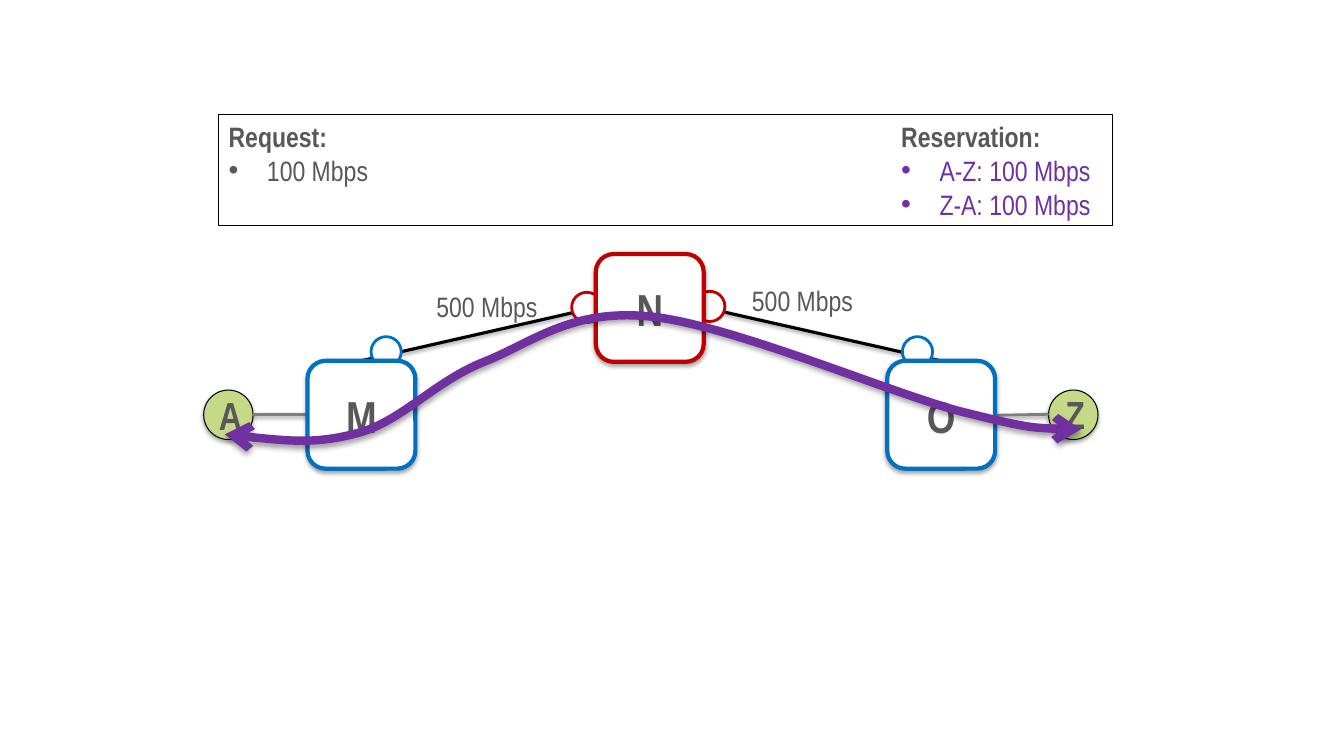
from lxml.etree import SubElement
from pptx import Presentation
from pptx.dml.color import RGBColor
from pptx.enum.shapes import MSO_CONNECTOR, MSO_SHAPE
from pptx.enum.text import MSO_ANCHOR, PP_ALIGN
from pptx.oxml.ns import qn
from pptx.util import Inches, Pt

FONT = "Arial Narrow"
GREY, BLACK, WHITE = "58585B", "000000", "FFFFFF"
BLUE, RED, PURPLE, GREEN = "0070C0", "C00000", "7030A0", "C6D986"
LINK_GREY = "7C7F82"
HOST_SIZE, PORT_SIZE, NODE_SIZE = 0.49, 0.3, 1.07
ROUTE_START = (2.23, 4.31)
ROUTE_CURVES = [
    [(2.69, 4.36), (3.14, 4.41), (3.57, 4.29)],
    [(3.99, 4.17), (4.32, 3.78), (4.8, 3.59)],
    [(5.28, 3.4), (5.66, 3.06), (6.45, 3.14)],
    [(7.24, 3.22), (8.81, 3.89), (9.52, 4.08)],
    [(10.23, 4.26), (10.47, 4.26), (10.72, 4.26)],
]


def color(value):
    """Turn a hex string into a colour."""
    return RGBColor.from_string(value)


def set_line(item, line_color, width):
    """Give an outline or connector its colour and width in points."""
    item.line.color.rgb = color(line_color)
    item.line.width = Pt(width)


def add_shadow(effects, alpha, distance):
    """Add a soft downward shadow to an effect list."""
    shadow = SubElement(effects, qn("a:outerShdw"), blurRad=str(Pt(3.1)),
                        dist=str(Pt(distance)), dir="5400000", rotWithShape="0")
    tint = SubElement(shadow, qn("a:srgbClr"), val=BLACK)
    SubElement(tint, qn("a:alpha"), val=str(alpha * 1000))


def shape_shadow(shape):
    """Replace the theme shadow of a shape with the diagram's own."""
    shape.shadow.inherit = False
    add_shadow(shape._element.spPr.find(qn("a:effectLst")), 35, 1.8)


def add_outline(slide, kind, box, fill, line_color, width, shadow=False):
    """Add a preset shape; a fill of None leaves it open."""
    shape = slide.shapes.add_shape(kind, *map(Inches, box))
    if fill:
        shape.fill.solid()
        shape.fill.fore_color.rgb = color(fill)
    else:
        shape.fill.background()
    set_line(shape, line_color, width)
    if shadow:
        shape_shadow(shape)
    else:
        shape.shadow.inherit = False
    return shape


def add_link(slide, start, end, line_color, width):
    """Add a shadowed straight link between two points."""
    link = slide.shapes.add_connector(MSO_CONNECTOR.STRAIGHT,
                                      *map(Inches, start + end))
    set_line(link, line_color, width)
    effects = SubElement(link._element.spPr, qn("a:effectLst"))
    add_shadow(effects, 38, 1.6)


def format_paragraph(paragraph, text, size, text_color=GREY, bold=False,
                     align=PP_ALIGN.LEFT):
    """Fill a paragraph and set its font."""
    paragraph.text = text
    paragraph.alignment = align
    font = paragraph.font
    font.name, font.size, font.bold = FONT, Pt(size), bold
    font.color.rgb = color(text_color)


def add_bullet(paragraph):
    """Give a paragraph a hanging round bullet."""
    properties = paragraph._p.get_or_add_pPr()
    properties.set("marL", str(Inches(0.38)))
    properties.set("indent", str(Inches(-0.38)))
    bullet_font = properties.makeelement(qn("a:buFont"), {"typeface": "Arial"})
    bullet = properties.makeelement(qn("a:buChar"), {"char": "•"})
    properties.insert(0, bullet_font)
    properties.insert(1, bullet)


def add_label(slide, box, text, size, bold=False, align=PP_ALIGN.LEFT,
              anchor=MSO_ANCHOR.TOP):
    """Add a one-line text box."""
    frame = slide.shapes.add_textbox(*map(Inches, box)).text_frame
    frame.word_wrap = True
    frame.vertical_anchor = anchor
    format_paragraph(frame.paragraphs[0], text, size, bold=bold, align=align)


def add_name(slide, box, text, size):
    """Add the bold centred name of a host or node."""
    add_label(slide, box, text, size, True, PP_ALIGN.CENTER, MSO_ANCHOR.MIDDLE)


def fill_list(shape, heading, entries, entry_color):
    """Write a bold heading and its bulleted entries."""
    frame = shape.text_frame
    frame.word_wrap = True
    frame.vertical_anchor = MSO_ANCHOR.TOP
    format_paragraph(frame.paragraphs[0], heading, 20, bold=True)
    for entry in entries:
        paragraph = frame.add_paragraph()
        format_paragraph(paragraph, entry, 20, entry_color)
        add_bullet(paragraph)


def add_route(slide):
    """Draw the two-way reserved route as a smooth curve."""
    builder = slide.shapes.build_freeform(*map(Inches, ROUTE_START))
    builder.add_line_segments(
        [tuple(map(Inches, curve[-1])) for curve in ROUTE_CURVES], close=False)
    route = builder.convert_to_shape()
    segments = list(route._element.iter(qn("a:lnTo")))
    for segment, curve in zip(segments, ROUTE_CURVES):
        bezier = segment.makeelement(qn("a:cubicBezTo"), {})
        for x, y in curve:
            SubElement(bezier, qn("a:pt"), x=str(Inches(x) - route.left),
                       y=str(Inches(y) - route.top))
        segment.getparent().replace(segment, bezier)
    route.fill.background()
    set_line(route, PURPLE, 6)
    for end in ("a:headEnd", "a:tailEnd"):
        SubElement(route.line._get_or_add_ln(), qn(end), type="arrow")
    shape_shadow(route)


def main():
    """Build the bandwidth reservation slide."""
    deck = Presentation()
    deck.slide_width, deck.slide_height = Inches(13.33), Inches(7.5)
    slide = deck.slides.add_slide(deck.slide_layouts[6])

    hosts = [("A", 2.02, 3.83, (2.51, 4.11), (3.05, 4.11)),
             ("Z", 10.4, 3.82, (9.87, 4.12), (10.4, 4.11))]
    for name, left, name_top, start, end in hosts:
        add_outline(slide, MSO_SHAPE.OVAL, (left, 3.87, HOST_SIZE, HOST_SIZE),
                    GREEN, BLACK, 0.75, shadow=True)
        add_link(slide, start, end, LINK_GREY, 2)
        add_name(slide, (left, name_top, 0.53, 0.57), name, 28)

    trunks = [((5.91, 3.05), (3.58, 3.58), (4.23, 2.82)),
              ((9.33, 3.58), (6.98, 3.05), (7.36, 2.76))]
    for start, end, label_at in trunks:
        add_link(slide, start, end, BLACK, 2.25)
        add_label(slide, label_at + (1.3, 0.44), "500 Mbps", 20)

    ports = [(5.67, 2.9, RED), (6.89, 2.89, RED),
             (3.68, 3.34, BLUE), (8.95, 3.34, BLUE)]
    for left, top, port_color in ports:
        add_outline(slide, MSO_SHAPE.OVAL, (left, top, PORT_SIZE, PORT_SIZE),
                    WHITE, port_color, 2)

    nodes = [("M", 3.05, 3.58, BLUE), ("N", 5.91, 2.52, RED),
             ("O", 8.8, 3.58, BLUE)]
    for name, left, top, node_color in nodes:
        add_outline(slide, MSO_SHAPE.ROUNDED_RECTANGLE,
                    (left, top, NODE_SIZE, NODE_SIZE),
                    WHITE, node_color, 3, shadow=True)
        add_name(slide, (left, top + 0.22, NODE_SIZE, 0.64), name, 32)

    add_route(slide)

    request = add_outline(slide, MSO_SHAPE.RECTANGLE, (2.17, 1.14, 8.86, 1.1),
                          None, BLACK, 0.75)
    fill_list(request, "Request:", ["100 Mbps"], GREY)
    reservation = slide.shapes.add_textbox(*map(Inches, (8.84, 1.14, 3.1, 1.11)))
    fill_list(reservation, "Reservation:",
              ["A-Z: 100 Mbps", "Z-A: 100 Mbps"], PURPLE)

    deck.save("out.pptx")


main()
